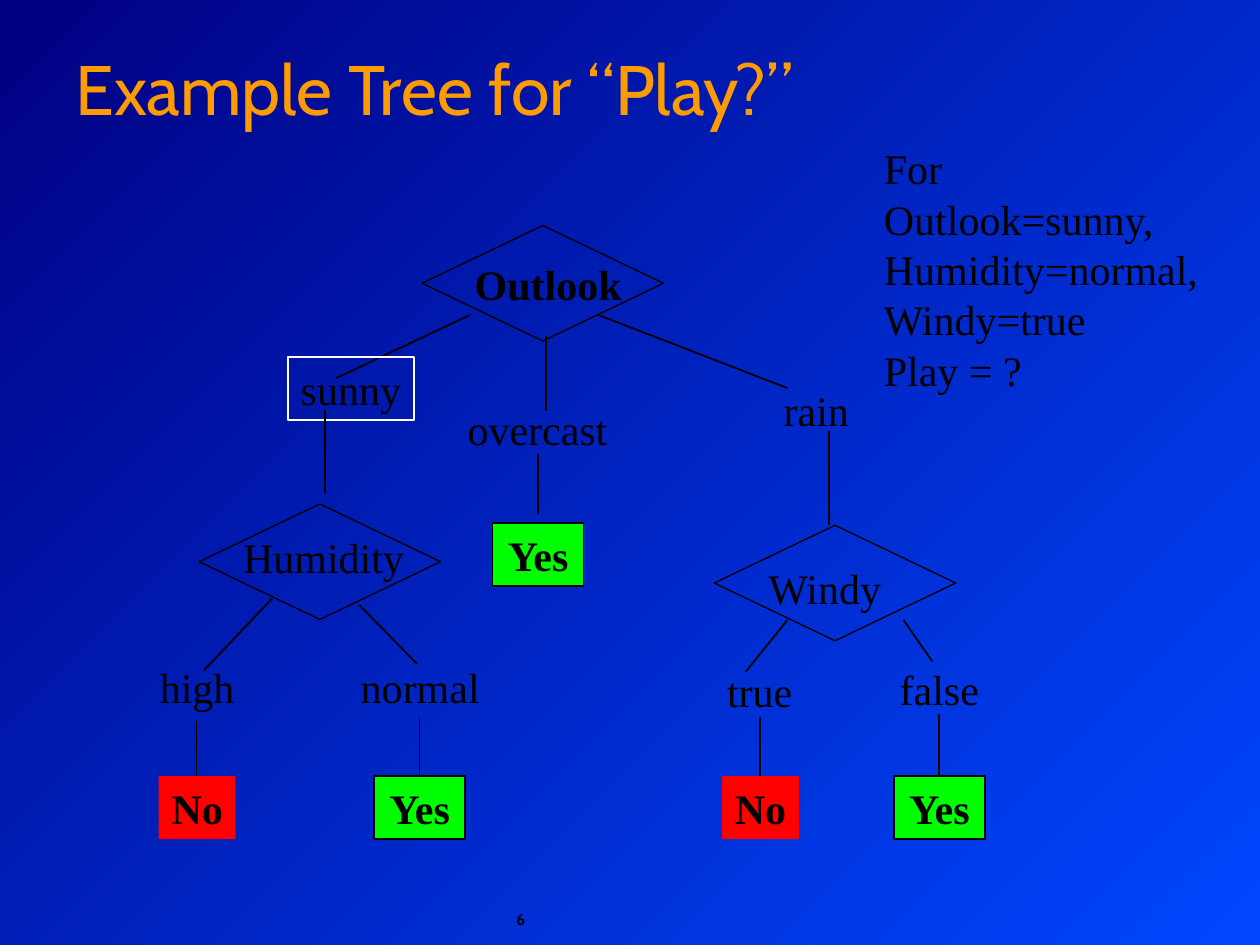
"""Build the decision tree slide for the "Play?" example."""
from dataclasses import dataclass

from lxml import etree
from pptx import Presentation
from pptx import util as u
from pptx.dml import color
from pptx.enum import shapes, text
from pptx.oxml import ns


@dataclass(frozen=True)
class Theme:
    """Colours, fonts and type sizes of the slide."""
    dark: str = "000082"
    light: str = "0047FF"
    ink: str = "000000"
    accent: str = "FE9B03"
    focus: str = "FFFFFF"
    yes: str = "00FF00"
    no: str = "FF0000"
    body_font: str = "Times New Roman"
    head_font: str = "Cabin"
    title: int = 40
    body: int = 24
    number: int = 9
    thin: float = 0.75
    line: float = 1


THEME = Theme()
ROW = 36
LEAF_WIDTH = {"Yes": 52, "No": 44}
DIAMOND = (138, 66)

BRANCHES = [
    ("overcast", 260, 226.8, 94.3),
    ("high", 84.2, 374.4, 56.9),
    ("normal", 198.7, 374.4, 82.8),
    ("false", 506.9, 375.8, 59.8),
    ("true", 408.2, 376.6, 51.8),
    ("rain", 440.6, 216, 51.8),
]
EDGES = [
    (268.6, 180, 192.2, 216),
    (312, 192.2, 312, 234.7),
    (342, 180, 450, 221.8),
    (155.5, 342, 116.6, 383),
    (205.2, 345.6, 238.3, 379.4),
    (450, 354.2, 426.2, 383.8),
    (516.2, 354.2, 532.8, 378),
    (112.3, 411.8, 112.3, 446.4),
    (536.4, 408.2, 536.4, 442.8),
    (434.2, 409.7, 434.2, 444.2),
    (239.8, 409.7, 239.8, 444.2),
    (307.4, 259.2, 307.4, 293.8),
]
STEMS = [(185.8, 234, 185.8, 282), (473.8, 246.2, 473.8, 300)]
LEAVES = [
    ("No", 90.7, 443.5),
    ("No", 412.6, 443.5),
    ("Yes", 213.8, 443.5),
    ("Yes", 510.8, 443.5),
    ("Yes", 281.5, 298.8),
]
TESTS = [
    ("Outlook", (241.2, 128.9), (264.2, 144, 102), True),
    ("Humidity", (113.8, 288), (131.8, 300.2, 108), False),
    ("Windy", (408.2, 300.2), (432, 318.2, 82), False),
]
QUESTION = "For\nOutlook=sunny,\nHumidity=normal,\nWindy=true\nPlay = ?"


def rgb(value):
    """Turn a hex string into a colour."""
    return color.RGBColor.from_string(value)


def write(box, wording, size=THEME.body, font=THEME.body_font, ink=THEME.ink,
          bold=False, align=text.PP_ALIGN.LEFT, fit=True):
    """Put formatted wording into a box, fitted to it unless told otherwise."""
    frame = box.text_frame
    frame.text = wording
    frame.word_wrap = not fit
    frame.vertical_anchor = text.MSO_ANCHOR.TOP
    if fit:
        frame.auto_size = text.MSO_AUTO_SIZE.SHAPE_TO_FIT_TEXT
    for para in frame.paragraphs:
        para.alignment = align
        for span in para.runs:
            span.font.size = u.Pt(size)
            span.font.name = font
            span.font.bold = bold
            span.font.color.rgb = rgb(ink)


def add_label(page, wording, left, top, width, height=ROW, **style):
    """Add a text box without fill or outline."""
    box = page.shapes.add_textbox(*map(u.Pt, (left, top, width, height)))
    write(box, wording, **style)
    return box


def add_outline(page, kind, left, top, width, height, fill=None, line=None,
                weight=THEME.line):
    """Add a preset shape with optional fill and line."""
    box = page.shapes.add_shape(kind, *map(u.Pt, (left, top, width, height)))
    box.shadow.inherit = False
    if fill:
        box.fill.solid()
        box.fill.fore_color.rgb = rgb(fill)
    else:
        box.fill.background()
    if line:
        box.line.color.rgb = rgb(line)
        box.line.width = u.Pt(weight)
    else:
        box.line.fill.background()
    return box


def add_box(page, wording, left, top, width, bold=False, **look):
    """Add a rectangle with centred wording."""
    box = add_outline(page, shapes.MSO_SHAPE.RECTANGLE, left, top, width, ROW, **look)
    write(box, wording, bold=bold, align=text.PP_ALIGN.CENTER)


def add_leaf(page, answer, left, top):
    """Add a coloured answer box."""
    look = {"fill": THEME.yes, "line": THEME.ink} if answer == "Yes" else {"fill": THEME.no}
    add_box(page, answer, left, top, LEAF_WIDTH[answer], bold=True, **look)


def add_test(page, wording, corner, label, bold):
    """Add a diamond with the attribute that it tests."""
    add_outline(page, shapes.MSO_SHAPE.DIAMOND, *corner, *DIAMOND,
                line=THEME.ink, weight=THEME.thin)
    add_label(page, wording, *label, bold=bold)


def add_edge(page, ends, weight=THEME.line):
    """Add a straight line between two points."""
    edge = page.shapes.add_connector(shapes.MSO_CONNECTOR.STRAIGHT, *map(u.Pt, ends))
    edge.line.color.rgb = rgb(THEME.ink)
    edge.line.width = u.Pt(weight)
    etree.SubElement(edge._element.spPr, ns.qn("a:effectLst"))


def paint_background(page):
    """Fill the page with a diagonal gradient."""
    fill = page.background.fill
    fill.gradient()
    fill.gradient_angle = 315
    for stop, value in zip(fill.gradient_stops, (THEME.dark, THEME.light)):
        stop.color.rgb = rgb(value)


def add_title(page, wording):
    """Add the slide heading."""
    box = add_label(page, wording, 36, 18, 654, 72, size=THEME.title,
                    font=THEME.head_font, ink=THEME.accent, fit=False)
    box.text_frame.vertical_anchor = text.MSO_ANCHOR.MIDDLE
    box.text_frame.paragraphs[0].line_spacing = 0.85


def main():
    """Build and save the deck."""
    deck = Presentation()
    deck.slide_width, deck.slide_height = u.Pt(720), u.Pt(540)
    page = deck.slides.add_slide(deck.slide_layouts[6])
    paint_background(page)
    add_label(page, "6", 288, 516.2, 73.4, 23.8, size=THEME.number,
              font=THEME.head_font, bold=True, fit=False)
    for branch in BRANCHES:
        add_label(page, *branch, align=text.PP_ALIGN.CENTER)
    for ends in EDGES:
        add_edge(page, ends)
    add_box(page, "sunny", 164.5, 204, 72, line=THEME.focus)
    for leaf in LEAVES:
        add_leaf(page, *leaf)
    add_title(page, "Example Tree for “Play?”")
    for test in TESTS:
        add_test(page, *test)
    for ends in STEMS:
        add_edge(page, ends, THEME.thin)
    add_label(page, QUESTION, 498, 78, 195, 151.2)
    deck.save("out.pptx")


if __name__ == "__main__":
    main()
